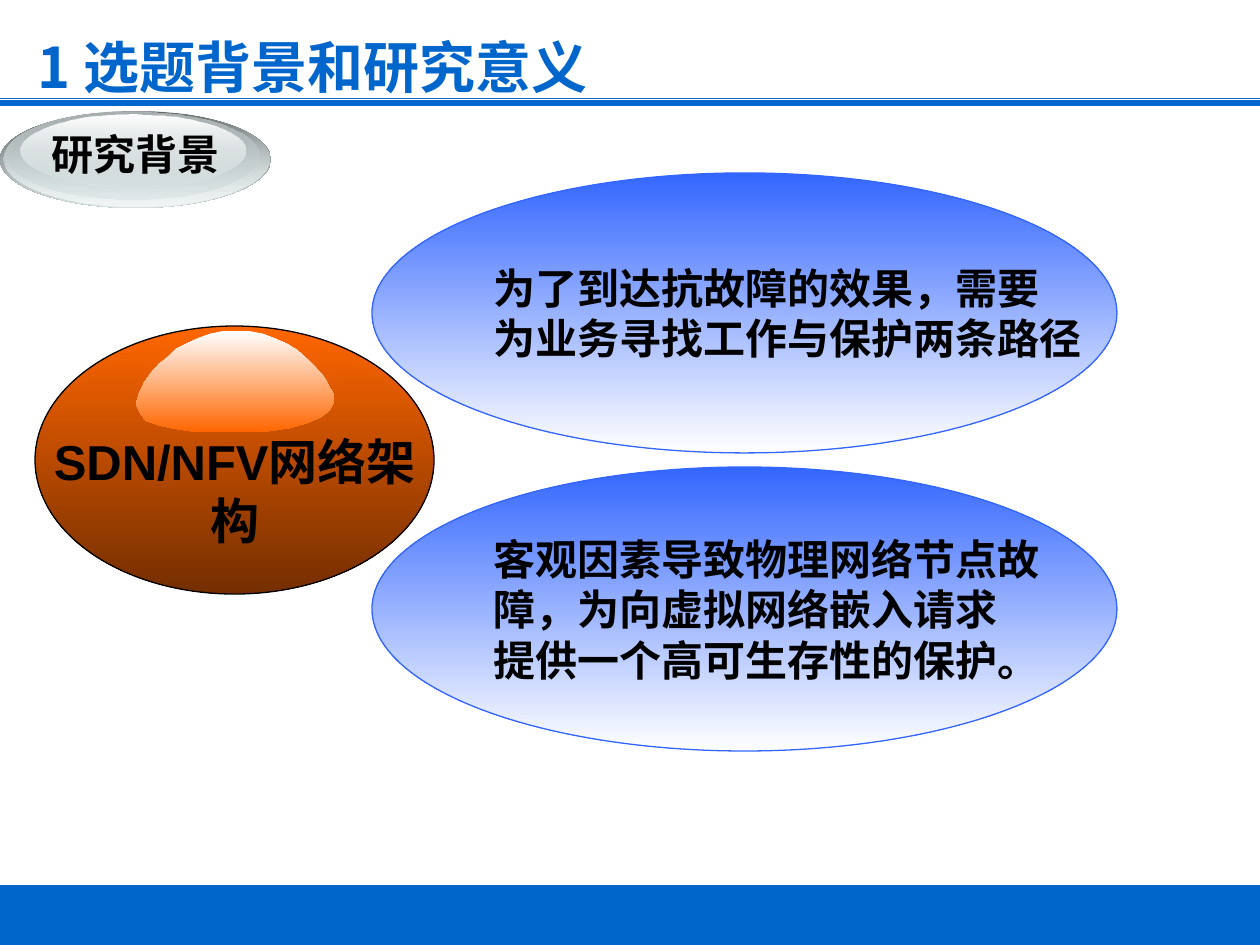
"""Build the slide on research background and significance."""
from lxml.etree import SubElement
from pptx import Presentation
from pptx.dml.color import RGBColor
from pptx.enum.shapes import MSO_CONNECTOR as Connector, MSO_SHAPE as Shape
from pptx.enum.text import MSO_ANCHOR as Anchor, PP_ALIGN as Align
from pptx.oxml.ns import qn
from pptx.util import Pt

PX = 914400 / 126
WIDTH, HEIGHT = 1260, 945
CJK = "Noto Sans CJK SC"
COLOURS = {
    "blue": "0066CC", "sky": "3366FF", "white": "FFFFFF", "black": "000000",
    "orange": "FF6600", "brown": "742E00", "slate": "636869",
    "steel": "AAB2B3", "silver": "D6E1E2", "pearl": "F1F5F5",
}

TITLE = "1 选题背景和研究意义"
TOPIC = "研究背景"
CORE = "SDN/NFV网络架构"
REASONS = [
    ((372, 173, 745, 280), ["为了到达抗故障的效果，需要", "为业务寻找工作与保护两条路径"]),
    ((372, 467, 745, 284), ["客观因素导致物理网络节点故", "障，为向虚拟网络嵌入请求", "提供一个高可生存性的保护。"]),
]
RULES = [(103, 3), (98, 0.25)]
BADGE = [
    ((0, 111, 271, 97), ("slate", 100), ("silver", 100)),
    ((4, 111, 265, 95), ("silver", 0), ("pearl", 100)),
    ((6, 112, 252, 88), ("steel", 100), ("silver", 48)),
    ((21, 115, 224, 72), ("white", 100), ("silver", 38)),
]
SHINE = [
    (330, 388), (333, 393), (334, 399), (333, 404), (330, 410), (321, 417),
    (307, 423), (290, 428), (270, 431), (255, 432), (208, 432), (189, 431),
    (171, 428), (158, 425), (146, 421), (140, 413), (136, 404), (139, 394),
    (144, 383), (151, 373), (159, 364), (168, 357), (176, 349), (188, 343),
    (199, 338), (210, 334), (223, 331), (249, 331), (263, 334), (276, 339),
    (287, 344), (297, 350), (307, 359), (316, 368), (324, 377),
]


def emu(*lengths):
    return [round(length * PX) for length in lengths]


def colour(name):
    return RGBColor.from_string(COLOURS[name])


def set_line(shape, name):
    if name:
        shape.line.color.rgb = colour(name)
        shape.line.width = Pt(0.75)
    else:
        shape.line.fill.background()


def shade(shape, top, bottom, line=None):
    shape.shadow.inherit = False
    shape.fill.gradient()
    shape.fill.gradient_angle = 270
    for stop, position, (name, opacity) in zip(shape.fill.gradient_stops, (0, 1), (top, bottom)):
        stop.position = position
        stop.color.rgb = colour(name)
        if opacity < 100:
            tint = shape.fill._xPr.findall(".//" + qn("a:srgbClr"))[-1]
            SubElement(tint, qn("a:alpha"), val=str(opacity * 1000))
    set_line(shape, line)


def add_ellipse(page, place, top, bottom, line=None):
    ellipse = page.shapes.add_shape(Shape.OVAL, *emu(*place))
    shade(ellipse, top, bottom, line)
    return ellipse


def write(shape, lines, size, font, name="black", align=Align.LEFT, anchor=Anchor.TOP, wrap=False):
    frame = shape.text_frame
    frame.text = "\n".join(lines)
    frame.word_wrap = wrap
    frame.vertical_anchor = anchor
    for para in frame.paragraphs:
        para.alignment = align
        for span in para.runs:
            span.font.size = Pt(size)
            span.font.bold = True
            span.font.name = font
            span.font.color.rgb = colour(name)
            SubElement(span.font._element, qn("a:ea"), typeface=CJK)


def add_frame(page):
    bar = page.shapes.add_shape(Shape.RECTANGLE, *emu(0, 886, WIDTH, HEIGHT - 886))
    bar.shadow.inherit = False
    bar.fill.solid()
    bar.fill.fore_color.rgb = colour("blue")
    set_line(bar, "blue")
    for y, weight in RULES:
        rule = page.shapes.add_connector(Connector.STRAIGHT, *emu(0, y, WIDTH, y))
        rule.line.color.rgb = colour("blue")
        rule.line.width = Pt(weight)
        SubElement(rule._element.spPr, qn("a:effectLst"))
    title = page.shapes.title
    title.left, title.top, title.width, title.height = emu(25, 26, 677, 81)
    write(title, [TITLE], 32, CJK, "blue", wrap=True)


def add_reason(page, place, lines):
    ellipse = add_ellipse(page, place, ("sky", 100), ("white", 100), "sky")
    write(ellipse, lines, 24, "Calibri", anchor=Anchor.MIDDLE)


def add_core(page):
    add_ellipse(page, (35, 326, 399, 268), ("orange", 100), ("brown", 100), "black")
    outline = page.shapes.build_freeform(*SHINE[0], scale=PX)
    outline.add_line_segments(SHINE[1:], close=True)
    shade(outline.convert_to_shape(), ("white", 100), ("orange", 100))
    label = page.shapes.add_textbox(*emu(35, 425, 399, 72))
    write(label, [CORE], 28, "Arial", align=Align.CENTER, wrap=True)


def add_badge(page):
    for place, top, bottom in BADGE:
        add_ellipse(page, place, top, bottom)
    label = page.shapes.add_textbox(*emu(38, 122, 196, 64))
    write(label, [TOPIC], 24, "Arial", align=Align.CENTER)


def main():
    deck = Presentation()
    deck.slide_width, deck.slide_height = emu(WIDTH, HEIGHT)
    page = deck.slides.add_slide(deck.slide_layouts[5])
    add_frame(page)
    add_reason(page, *REASONS[0])
    add_core(page)
    add_reason(page, *REASONS[1])
    add_badge(page)
    deck.save("out.pptx")


if __name__ == "__main__":
    main()
